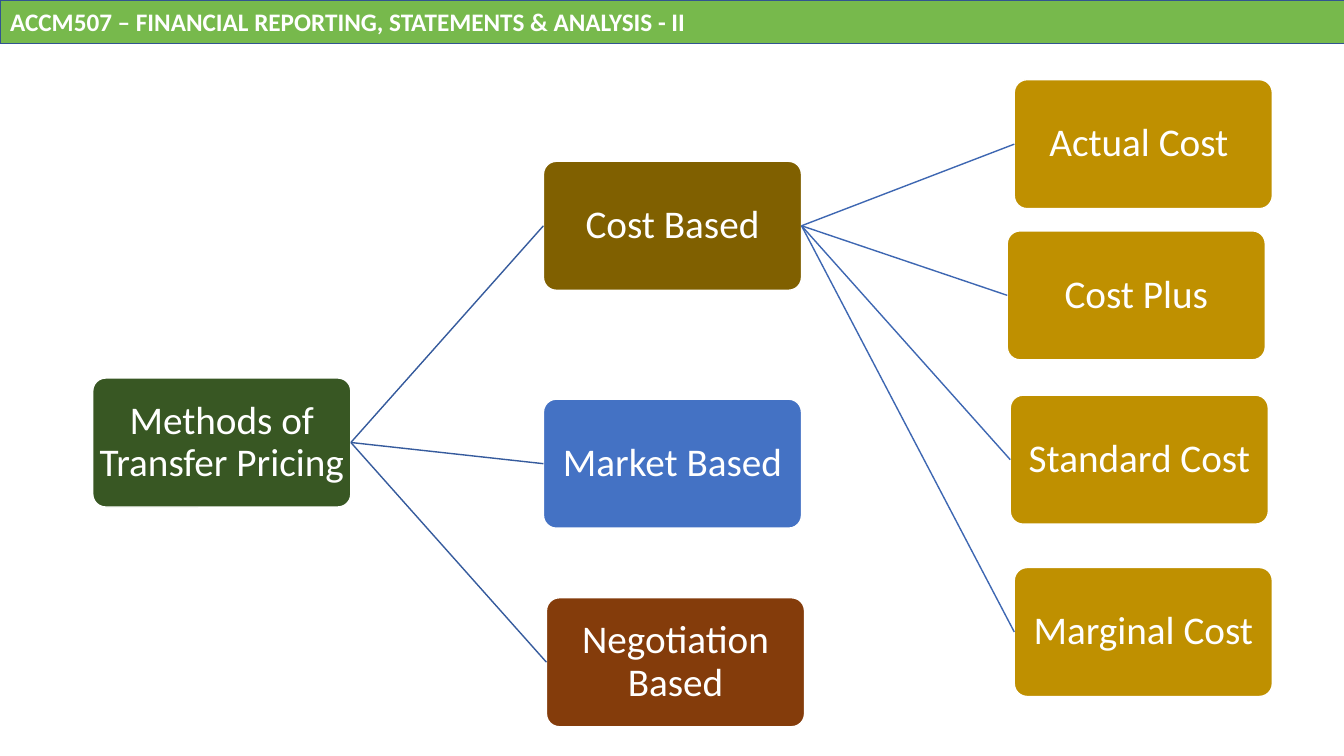
from dataclasses import dataclass

from lxml import etree
from pptx import Presentation
from pptx.dml.color import RGBColor
from pptx.enum.shapes import MSO_CONNECTOR, MSO_SHAPE
from pptx.enum.text import MSO_ANCHOR, MSO_AUTO_SIZE, PP_ALIGN
from pptx.oxml.ns import qn
from pptx.shapes.autoshape import Shape
from pptx.slide import Slide
from pptx.util import Emu, Pt

ROUND = MSO_SHAPE.ROUNDED_RECTANGLE
STRAIGHT = MSO_CONNECTOR.STRAIGHT
MIDDLE = MSO_ANCHOR.MIDDLE
FIXED = MSO_AUTO_SIZE.NONE
LEFT, CENTER = PP_ALIGN.LEFT, PP_ALIGN.CENTER

WHITE = RGBColor(0xFF, 0xFF, 0xFF)
LIME = RGBColor(0x77, 0xB9, 0x4C)
NAVY = RGBColor(0x32, 0x54, 0x91)
GREEN = RGBColor(0x38, 0x57, 0x23)
BROWN = RGBColor(0x80, 0x60, 0x00)
GOLD = RGBColor(0xBF, 0x90, 0x00)
BLUE = RGBColor(0x44, 0x72, 0xC4)
RUST = RGBColor(0x84, 0x3C, 0x0B)
LINKS = (RGBColor(0x36, 0x5B, 0x9D), RGBColor(0x3E, 0x67, 0xB2))

FONT = "Calibri"
WIDE, HIGH = 256, 128
RIGHT_SIDE, LEFT_SIDE = 3, 1


@dataclass(frozen=True)
class Node:
    text: str
    left: int
    top: int
    fill: RGBColor
    kids: tuple["Node", ...] = ()


TREE = Node("Methods of Transfer Pricing", 92, 375, GREEN, (
    Node("Cost Based", 539, 160, BROWN, (
        Node("Actual Cost ", 1006, 79, GOLD),
        Node("Cost Plus", 999, 229, GOLD),
        Node("Standard Cost", 1002, 392, GOLD),
        Node("Marginal Cost", 1006, 563, GOLD),
    )),
    Node("Market Based", 539, 396, BLUE),
    Node("Negotiation Based", 542, 593, RUST),
))


def px(count: int) -> Emu:
    return Emu(count * 9144)


def paint(shape: Shape, fill: RGBColor, line: RGBColor) -> None:
    shape.fill.solid()
    shape.fill.fore_color.rgb = fill
    shape.line.color.rgb = line
    shape.line.width = Pt(1)


def write(shape: Shape, text: str, size: int, bold: bool, align: PP_ALIGN,
          side: int, gap: int, pitch: float) -> None:
    frame = shape.text_frame
    frame.word_wrap = True
    frame.auto_size = FIXED
    frame.vertical_anchor = MIDDLE
    frame.margin_left = frame.margin_right = px(side)
    frame.margin_top = frame.margin_bottom = px(gap)
    para = frame.paragraphs[0]
    para.alignment = align
    para.line_spacing = pitch
    run = para.add_run()
    run.text = text
    run.font.name = FONT
    run.font.size = Pt(size)
    run.font.bold = bold
    run.font.color.rgb = WHITE


def banner(slide: Slide, text: str) -> None:
    title = slide.shapes.title
    title.left, title.top = px(0), px(0)
    title.width, title.height = px(1335), px(43)
    paint(title, LIME, NAVY)
    write(title, text, 18, True, LEFT, 10, 5, 1.0)


def join(slide: Slide, start: Shape, end: Shape, color: RGBColor) -> None:
    link = slide.shapes.add_connector(STRAIGHT, 0, 0, 0, 0)
    link.begin_connect(start, RIGHT_SIDE)
    link.end_connect(end, LEFT_SIDE)
    link.line.color.rgb = color
    link.line.width = Pt(1)
    props = link._element.find(qn("p:spPr"))
    etree.SubElement(props, qn("a:effectLst"))


def grow(slide: Slide, node: Node, depth: int = 0) -> Shape:
    box = slide.shapes.add_shape(
        ROUND, px(node.left), px(node.top), px(WIDE), px(HIGH))
    box.shadow.inherit = False
    box.adjustments[0] = 0.1
    paint(box, node.fill, WHITE)
    write(box, node.text, 28, False, CENTER, 2, 2, 0.9)
    for kid in node.kids:
        join(slide, box, grow(slide, kid, depth + 1), LINKS[depth])
    return box


def main() -> None:
    deck = Presentation()
    deck.slide_width, deck.slide_height = px(1333), px(750)
    slide = deck.slides.add_slide(deck.slide_layouts[5])
    banner(slide, "ACCM507 – FINANCIAL REPORTING, STATEMENTS & ANALYSIS - II")
    grow(slide, TREE)
    deck.save("out.pptx")


if __name__ == "__main__":
    main()
